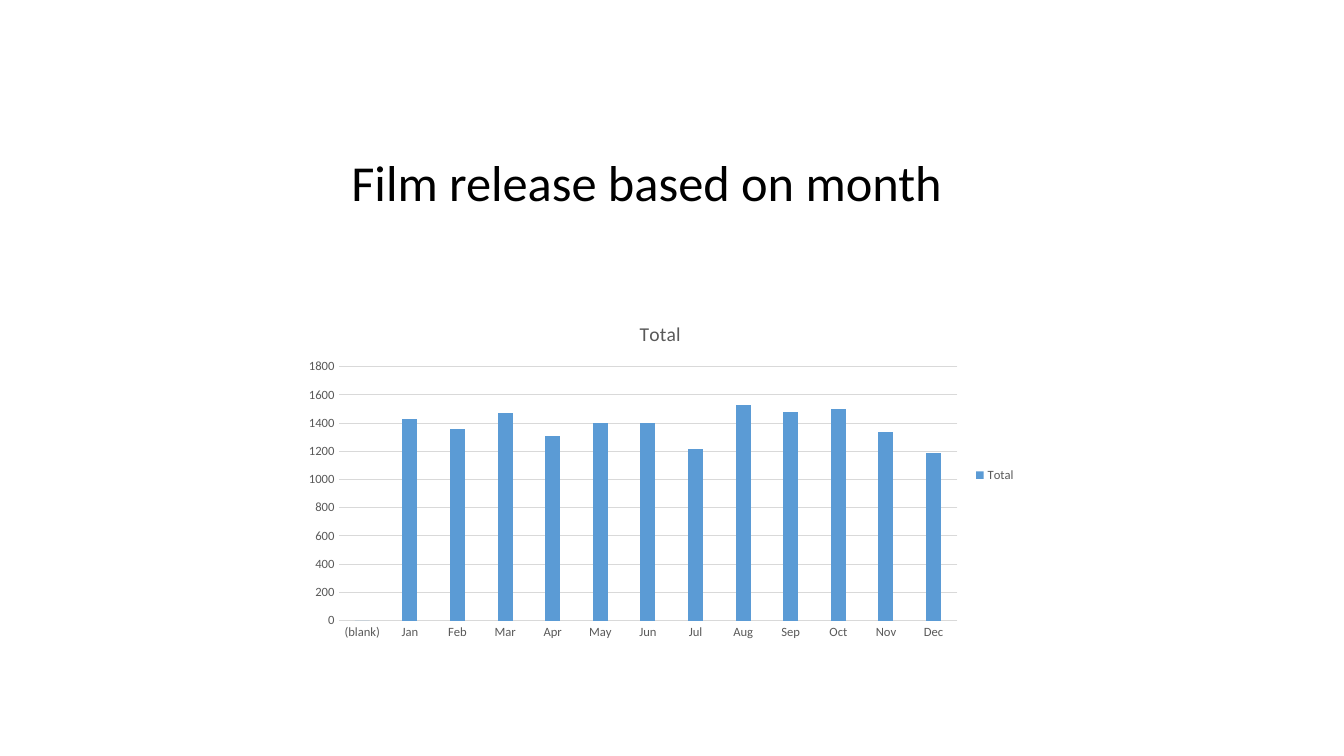
from typing import NamedTuple

from pptx import Presentation
from pptx.chart.data import CategoryChartData
from pptx.dml.color import RGBColor
from pptx.enum.chart import XL_CHART_TYPE, XL_LEGEND_POSITION, XL_TICK_MARK
from pptx.enum.text import PP_ALIGN
from pptx.util import Pt

COLORS = {"heading": "000000", "label": "595959", "grid": "D9D9D9", "bar": "5B9BD5"}
FONT_NAME = "Calibri"


class MonthCount(NamedTuple):
    month: str
    films: int


RELEASES = [
    MonthCount("(blank)", 0),
    MonthCount("Jan", 1430),
    MonthCount("Feb", 1360),
    MonthCount("Mar", 1470),
    MonthCount("Apr", 1310),
    MonthCount("May", 1400),
    MonthCount("Jun", 1400),
    MonthCount("Jul", 1220),
    MonthCount("Aug", 1530),
    MonthCount("Sep", 1480),
    MonthCount("Oct", 1500),
    MonthCount("Nov", 1340),
    MonthCount("Dec", 1190),
]


def color(name: str) -> RGBColor:
    return RGBColor.from_string(COLORS[name])


def style_font(font, *, size: float, color_name: str) -> None:
    font.name = FONT_NAME
    font.size = Pt(size)
    font.bold = False
    font.color.rgb = color(color_name)


def write_text(text_frame, text: str, *, size: float, color_name: str,
               alignment=PP_ALIGN.CENTER) -> None:
    paragraph = text_frame.paragraphs[0]
    paragraph.alignment = alignment
    run = paragraph.add_run()
    run.text = text
    style_font(run.font, size=size, color_name=color_name)


def style_line(line) -> None:
    line.color.rgb = color("grid")
    line.width = Pt(0.75)


def add_heading(slide) -> None:
    shape = slide.shapes.add_textbox(Pt(84), Pt(104.3), Pt(756), Pt(52))
    shape.text_frame.word_wrap = True
    write_text(shape.text_frame, "Film release based on month",
               size=36, color_name="heading")


def style_axes(chart) -> None:
    for axis in (chart.category_axis, chart.value_axis):
        axis.major_tick_mark = XL_TICK_MARK.NONE
        axis.minor_tick_mark = XL_TICK_MARK.NONE
        style_font(axis.tick_labels.font, size=9, color_name="label")
    style_line(chart.category_axis.format.line)

    value_axis = chart.value_axis
    value_axis.minimum_scale = 0
    value_axis.maximum_scale = 1800
    value_axis.major_unit = 200
    value_axis.format.line.fill.background()
    value_axis.has_major_gridlines = True
    style_line(value_axis.major_gridlines.format.line)


def add_release_chart(slide) -> None:
    chart_data = CategoryChartData()
    chart_data.categories = [release.month for release in RELEASES]
    chart_data.add_series("Total", [release.films for release in RELEASES])
    chart = slide.shapes.add_chart(
        XL_CHART_TYPE.COLUMN_CLUSTERED,
        Pt(210.24), Pt(217.44), Pt(522.72), Pt(244.08), chart_data,
    ).chart
    style_font(chart.font, size=10, color_name="heading")

    chart.has_title = True
    write_text(chart.chart_title.text_frame, "Total", size=14, color_name="label")
    chart.chart_title.include_in_layout = False

    chart.has_legend = True
    chart.legend.position = XL_LEGEND_POSITION.RIGHT
    chart.legend.include_in_layout = False
    style_font(chart.legend.font, size=9, color_name="label")

    style_axes(chart)

    plot = chart.plots[0]
    plot.gap_width = 219
    plot.overlap = -27
    plot.vary_by_categories = False
    bar_fill = plot.series[0].format.fill
    bar_fill.solid()
    bar_fill.fore_color.rgb = color("bar")


def main() -> None:
    presentation = Presentation()
    presentation.slide_width = Pt(960)
    presentation.slide_height = Pt(540)
    slide = presentation.slides.add_slide(presentation.slide_layouts[6])
    add_heading(slide)
    add_release_chart(slide)
    presentation.save("out.pptx")


if __name__ == "__main__":
    main()
